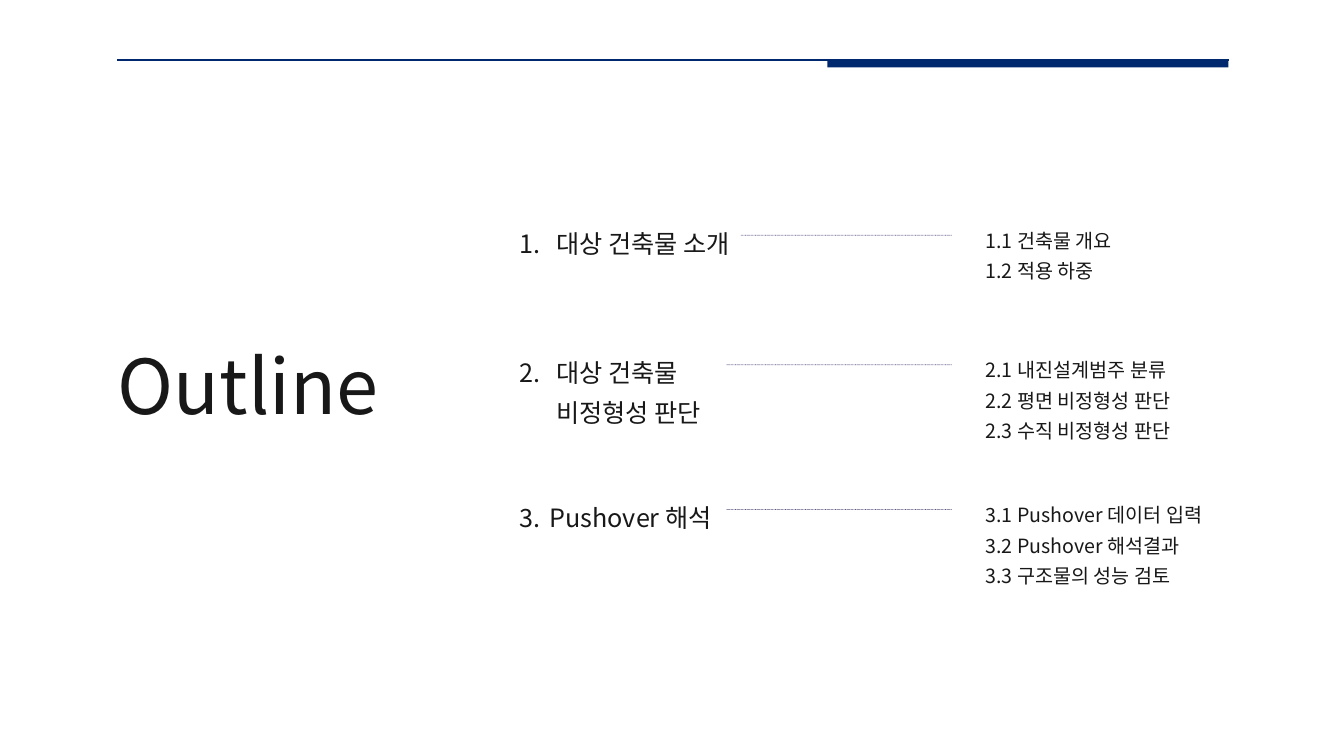
from lxml.etree import SubElement
from pptx import Presentation
from pptx.dml.color import RGBColor
from pptx.enum.dml import MSO_LINE_DASH_STYLE as Dash
from pptx.enum.shapes import MSO_CONNECTOR as Connector, MSO_SHAPE as Shape
from pptx.enum.text import MSO_ANCHOR as Anchor, MSO_AUTO_SIZE as AutoSize
from pptx.oxml.ns import qn
from pptx.util import Cm, Pt

TITLE = "Outline"
SECTIONS = [
    {"top": 5.4, "hang": 0.92, "leader_left": 18.67,
     "heading": ["1.\t대상 건축물 소개"],
     "topics": ["1.1 건축물 개요", "1.2 적용 하중"]},
    {"top": 8.66, "hang": 0.92, "leader_left": 18.31,
     "heading": ["2.\t대상 건축물", "비정형성 판단"],
     "topics": ["2.1 내진설계범주 분류", "2.2 평면 비정형성 판단", "2.3 수직 비정형성 판단"]},
    {"top": 12.31, "hang": 0.75, "leader_left": 18.31,
     "heading": ["3.\tPushover 해석"],
     "topics": ["3.1 Pushover 데이터 입력", "3.2 Pushover 해석결과", "3.3 구조물의 성능 검토"]},
]
FONT = "Noto Sans CJK KR"
INK, NAVY, LEADER = "181818", "00286F", "201851"
RULE_LEFT, RULE_RIGHT, RULE_TOP = 2.95, 30.96, 1.52
BAR_LEFT, BAR_HEIGHT = 20.85, 0.18
HEADING_LEFT, HEADING_WIDTH = 12.85, 6.76
TOPICS_LEFT, TOPICS_WIDTH = 24.59, 7.39
LEADER_RIGHT = 23.98


def color(value):
    return RGBColor.from_string(value)


def add_text(shapes, lines, left, top, width, height, size, hang=0):
    box = shapes.add_textbox(Cm(left), Cm(top), Cm(width), Cm(height))
    frame = box.text_frame
    frame.word_wrap = True
    frame.auto_size = AutoSize.SHAPE_TO_FIT_TEXT
    for index, line in enumerate(lines):
        paragraph = frame.add_paragraph() if index else frame.paragraphs[0]
        paragraph.line_spacing = 1.3
        if hang:
            properties = paragraph._p.get_or_add_pPr()
            properties.set("marL", str(Cm(hang)))
            properties.set("indent", str(0 if index else -Cm(hang)))
        run = paragraph.add_run()
        run.text = line
        run.font.size = Pt(size)
        run.font.name = FONT
        run.font.color.rgb = color(INK)
        SubElement(run._r.get_or_add_rPr(), qn("a:ea")).set("typeface", FONT)
    return frame


def add_rule(shapes, left, right, top, hue, weight):
    rule = shapes.add_connector(Connector.STRAIGHT, Cm(left), Cm(top), Cm(right), Cm(top))
    rule.line.color.rgb = color(hue)
    rule.line.width = Pt(weight)
    SubElement(rule._element.spPr, qn("a:effectLst"))
    return rule


def add_section(slide, section):
    shapes = slide.shapes.add_group_shape().shapes
    top, heading, topics = section["top"], section["heading"], section["topics"]
    add_text(shapes, heading, HEADING_LEFT, top, HEADING_WIDTH,
             0.24 + 1.01 * len(heading), 18, section["hang"])
    add_text(shapes, topics, TOPICS_LEFT, top + 0.06, TOPICS_WIDTH,
             0.2 + 0.8 * len(topics), 14)
    leader = add_rule(shapes, section["leader_left"], LEADER_RIGHT, top + 0.53, LEADER, 0.5)
    leader.line.dash_style = Dash.ROUND_DOT
    hue = leader._element.spPr.find(".//" + qn("a:srgbClr"))
    SubElement(hue, qn("a:alpha")).set("val", "72000")


def main():
    deck = Presentation()
    deck.slide_width, deck.slide_height = Cm(33.87), Cm(19.05)
    slide = deck.slides.add_slide(deck.slide_layouts[6])

    add_rule(slide.shapes, RULE_LEFT, RULE_RIGHT, RULE_TOP, NAVY, 1.5)
    bar = slide.shapes.add_shape(Shape.RECTANGLE, Cm(BAR_LEFT), Cm(RULE_TOP),
                                 Cm(RULE_RIGHT - BAR_LEFT), Cm(BAR_HEIGHT))
    bar.shadow.inherit = False
    bar.fill.solid()
    bar.fill.fore_color.rgb = color(NAVY)
    bar.line.fill.background()

    title = add_text(slide.shapes, [TITLE], 2.72, 7.8, 8.66, 3.07, 54)
    title.vertical_anchor = Anchor.MIDDLE
    for section in SECTIONS:
        add_section(slide, section)
    deck.save("out.pptx")


if __name__ == "__main__":
    main()
